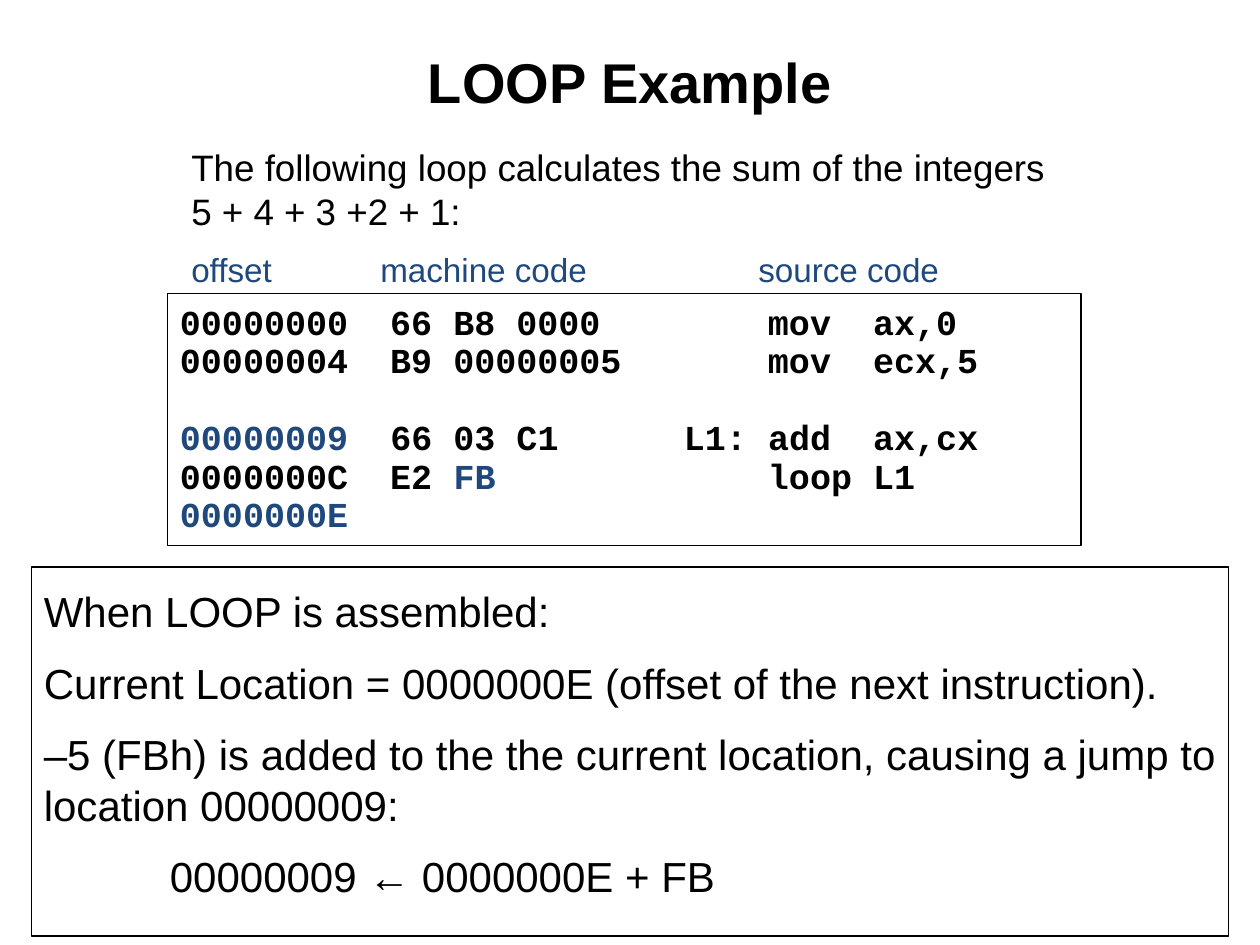
import pptx
import pptx.util
import pptx.dml.color
import pptx.enum.shapes
import pptx.enum.text
import pptx.oxml.ns
from lxml import etree

Inches = pptx.util.Inches
Pt = pptx.util.Pt
COLORS = {"text": "000000", "accent": "1F497D", "line": "000000"}


def rgb(name):
    return pptx.dml.color.RGBColor.from_string(COLORS[name])


def add_tab_stops(paragraph, stops):
    properties = paragraph._p.get_or_add_pPr()
    tabs = etree.SubElement(properties, pptx.oxml.ns.qn("a:tabLst"))
    for stop in stops:
        etree.SubElement(tabs, pptx.oxml.ns.qn("a:tab"), pos=str(Inches(stop)), algn="l")


def write_text(holder, paragraphs, size, font="Arial", color="text", bold=False,
               align=pptx.enum.text.PP_ALIGN.LEFT, anchor=pptx.enum.text.MSO_ANCHOR.TOP,
               inset=0.15, gap=0, spacing=None, tabs=()):
    frame = holder.text_frame
    frame.word_wrap = True
    frame.vertical_anchor = anchor
    frame.margin_left = frame.margin_right = Inches(0.1)
    frame.margin_top = frame.margin_bottom = Inches(inset)
    for index, runs in enumerate(paragraphs):
        paragraph = frame.paragraphs[0] if index == 0 else frame.add_paragraph()
        paragraph.alignment = align
        paragraph.space_before = Pt(gap if index else 0)
        if spacing:
            paragraph.line_spacing = Pt(spacing)
        if tabs:
            add_tab_stops(paragraph, tabs)
        paragraph.font.size = Pt(size)
        for text, run_color in ([(runs, color)] if isinstance(runs, str) else runs):
            run = paragraph.add_run()
            run.text = text
            run.font.name = font
            run.font.size = Pt(size)
            run.font.bold = bold
            run.font.color.rgb = rgb(run_color)


def add_label(slide, left, top, width, height, paragraphs, **text_format):
    label = slide.shapes.add_textbox(Inches(left), Inches(top), Inches(width), Inches(height))
    write_text(label, paragraphs, **text_format)


def add_panel(slide, left, top, width, height, paragraphs, **text_format):
    panel = slide.shapes.add_shape(pptx.enum.shapes.MSO_SHAPE.RECTANGLE,
                                   Inches(left), Inches(top), Inches(width), Inches(height))
    panel.shadow.inherit = False
    panel.fill.background()
    panel.line.color.rgb = rgb("line")
    panel.line.width = Pt(0.75)
    write_text(panel, paragraphs, **text_format)


def main():
    deck = pptx.Presentation()
    deck.slide_width, deck.slide_height = Inches(10), Inches(7.5)
    slide = deck.slides.add_slide(deck.slide_layouts[6])

    add_label(slide, 0.5, 0.17, 9, 0.95, ["LOOP Example"], size=32, bold=True, inset=0.05,
              align=pptx.enum.text.PP_ALIGN.CENTER, anchor=pptx.enum.text.MSO_ANCHOR.MIDDLE)

    listing = [
        "00000000  66 B8 0000\t\t mov  ax,0",
        "00000004  B9 00000005\t\t mov  ecx,5",
        [],
        [("00000009", "accent"), ("  66 03 C1\tL1: add  ax,cx", "text")],
        [("0000000C  E2 ", "text"), ("FB", "accent"), ("\t\t loop L1", "text")],
        [("0000000E", "accent")],
    ]
    add_panel(slide, 1.33, 2.33, 7.25, 2, listing, size=20, font="Courier New", bold=True,
              inset=0.08, spacing=22, tabs=(4, 4.5))

    add_label(slide, 1.42, 1, 7.17, 1,
              ["The following loop calculates the sum of the integers 5 + 4 + 3 +2 + 1:"], size=21)

    explanation = [
        "When LOOP is assembled:",
        "Current Location = 0000000E (offset of the next instruction).",
        "–5 (FBh) is added to the the current location, causing a jump to location 00000009:",
        "\t00000009 ← 0000000E + FB",
    ]
    add_panel(slide, 0.25, 4.5, 9.5, 2.93, explanation, size=24, gap=12, tabs=(1,))

    add_label(slide, 1.42, 1.83, 7.08, 0.61, ["offset\tmachine code\tsource code"],
              size=19, color="accent", tabs=(1.5, 4.5))

    deck.save("out.pptx")


if __name__ == "__main__":
    main()
